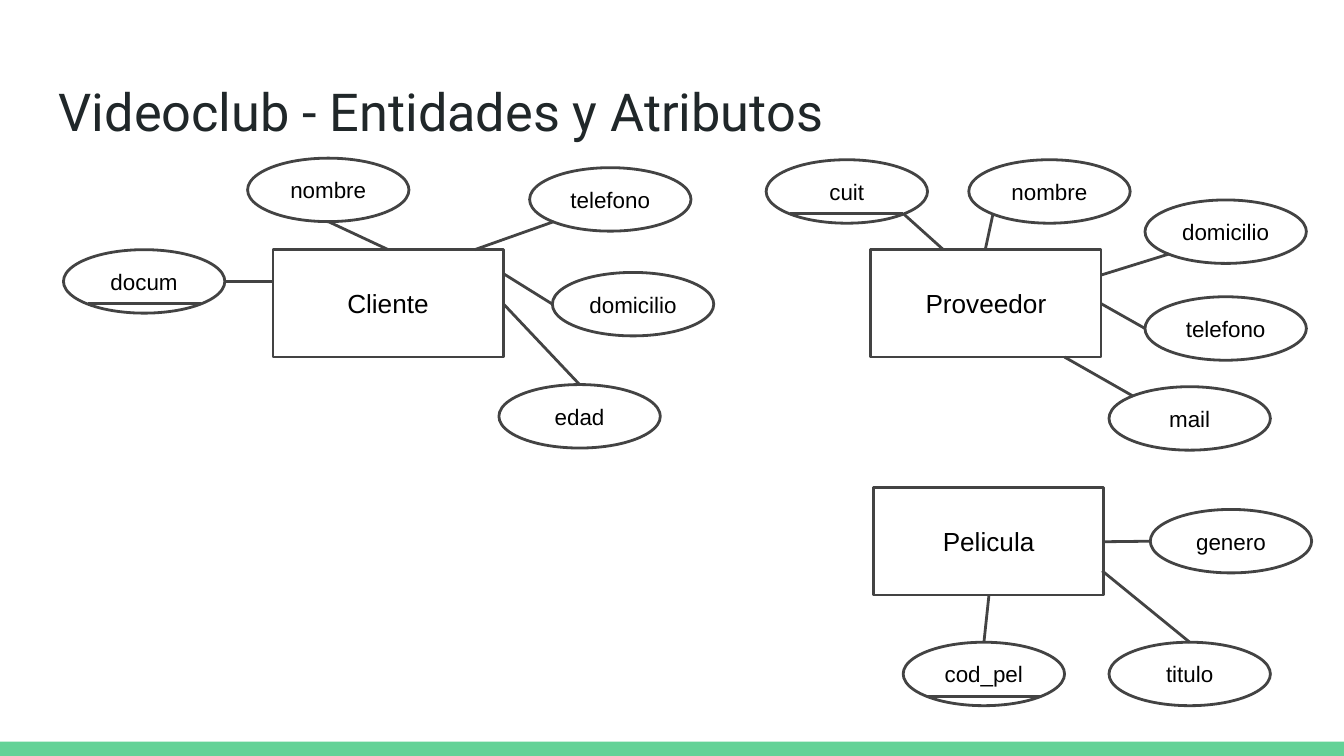
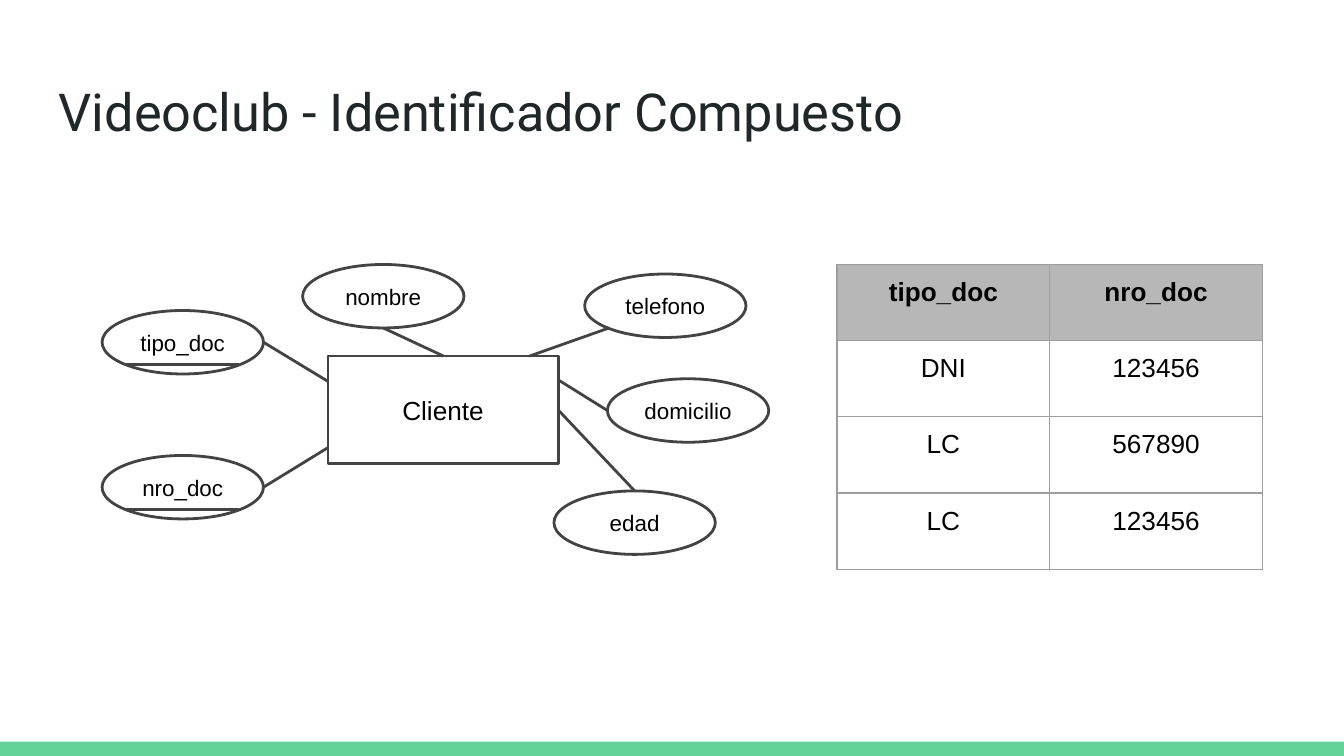
"""Builds two slides on the entities and attributes of a video club."""
import lxml.etree
import pptx
import pptx.dml.color
import pptx.enum.shapes
import pptx.enum.text
import pptx.oxml.ns
import pptx.util

Cm = pptx.util.Cm
Pt = pptx.util.Pt
SHAPES = pptx.enum.shapes.MSO_SHAPE
CENTER = pptx.enum.text.PP_ALIGN.CENTER
qn = pptx.oxml.ns.qn
color = pptx.dml.color.RGBColor.from_string

GREEN, INK, OUTLINE = "63D297", "202729", "434343"
BLACK, HEADER_GRAY, GRID_GRAY = "000000", "B7B7B7", "9E9E9E"

TITLE = {"name": "Roboto", "size": Pt(28)}
ENTITY = {"name": "Arial", "size": Pt(14)}
ATTRIBUTE = {"name": "Arial", "size": Pt(12)}
HEADER = {**ENTITY, "bold": True}
TITLE_FRAME = {"word_wrap": True, "vertical_anchor": pptx.enum.text.MSO_ANCHOR.TOP,
               "margin_left": Cm(0.25), "margin_right": Cm(0.25),
               "margin_top": Cm(0.25), "margin_bottom": Cm(0.25)}
NODE_FRAME = {"word_wrap": True, "vertical_anchor": pptx.enum.text.MSO_ANCHOR.MIDDLE,
              "margin_left": 0, "margin_right": 0, "margin_top": 0, "margin_bottom": 0}
CELL_MARGINS = {"margin_left": Cm(0.25), "margin_right": Cm(0.25),
                "margin_top": Cm(0.25), "margin_bottom": Cm(0.25)}

ENTITY_W, ENTITY_H = 4.35, 2.03
OVAL_W, OVAL_H = 3.05, 1.2
NEAR, FAR = 0.15, 0.85
SITES = {"top": (0.5, 0), "left": (0, 0.5), "bottom": (0.5, 1), "right": (1, 0.5),
         "top left": (NEAR, NEAR), "bottom left": (NEAR, FAR), "bottom right": (FAR, FAR)}

# name, offset from the entity, site on the oval, point on the entity, identifier
CLIENT_COMMON = [
    ("nombre", -0.48, -1.73, "bottom", 2.18, 0, False),
    ("telefono", 4.85, -1.55, "bottom left", 3.81, 0, False),
    ("domicilio", 5.28, 0.43, "left", 4.35, 0.45, False),
    ("edad", 4.27, 2.55, "top", 4.35, 1.02, False),
]
CLIENT_SIMPLE = CLIENT_COMMON + [("docum", -3.96, 0, "right", 0, 0.6, True)]
CLIENT_COMPOUND = CLIENT_COMMON + [
    ("tipo_doc", -4.27, -0.86, "right", 0, 0.48, True),
    ("nro_doc", -4.27, 1.88, "right", 0, 1.73, True),
]
SUPPLIER = [
    ("cuit", -1.98, -1.7, "bottom right", 1.37, 0, True),
    ("nombre", 1.85, -1.7, "bottom left", 2.16, 0, False),
    ("domicilio", 5.18, -0.94, "bottom left", 4.35, 0.48, False),
    ("telefono", 5.18, 0.89, "left", 4.35, 1.02, False),
    ("mail", 4.5, 2.59, "top left", 3.66, 2.03, False),
]
FILM = [
    ("cod_pel", 0.56, 2.92, "top", 2.18, 2.03, True),
    ("titulo", 4.45, 2.92, "top", 4.32, 1.57, False),
    ("genero", 5.23, 0.41, "left", 4.35, 1.02, False),
]
DIAGRAMS = [
    ("Videoclub - Entidades y Atributos", [
        ("Proveedor", 16.46, 4.72, SUPPLIER),
        ("Pelicula", 16.51, 9.22, FILM),
        ("Cliente", 5.16, 4.72, CLIENT_SIMPLE),
    ]),
    ("Videoclub - Identificador Compuesto", [
        ("Cliente", 6.2, 6.73, CLIENT_COMPOUND),
    ]),
]
DOCUMENTS = [("tipo_doc", "nro_doc"), ("DNI", "123456"), ("LC", "567890"), ("LC", "123456")]


def write(frame, text, font_format, ink=BLACK, align=CENTER):
    """Put one formatted line of text into a frame."""
    line = frame.paragraphs[0]
    line.alignment = align
    run = line.add_run()
    run.text = text
    run.font.color.rgb = color(ink)
    for key, value in font_format.items():
        setattr(run.font, key, value)


def add_node(slide, kind, text, font_format, left, top, width, height):
    """Draw an outlined entity or attribute with its name."""
    node = slide.shapes.add_shape(kind, Cm(left), Cm(top), Cm(width), Cm(height))
    node.shadow.inherit = False
    node.fill.background()
    node.line.color.rgb = color(OUTLINE)
    node.line.width = Pt(1.5)
    for key, value in NODE_FRAME.items():
        setattr(node.text_frame, key, value)
    write(node.text_frame, text, font_format)


deck = pptx.Presentation()
deck.slide_width, deck.slide_height = Cm(25.4), Cm(14.29)

for heading, entities in DIAGRAMS:
    slide = deck.slides.add_slide(deck.slide_layouts[6])
    band = slide.shapes.add_shape(SHAPES.RECTANGLE, 0, Cm(14.02), deck.slide_width, Cm(0.27))
    band.shadow.inherit = False
    band.fill.solid()
    band.fill.fore_color.rgb = color(GREEN)
    band.line.fill.background()

    title = slide.shapes.add_textbox(Cm(0.86), Cm(1.24), Cm(23.67), Cm(1.6))
    for key, value in TITLE_FRAME.items():
        setattr(title.text_frame, key, value)
    write(title.text_frame, heading, TITLE, INK, pptx.enum.text.PP_ALIGN.LEFT)

    strokes = []
    for entity, left, top, attributes in entities:
        add_node(slide, SHAPES.RECTANGLE, entity, ENTITY, left, top, ENTITY_W, ENTITY_H)
        for attribute, dx, dy, site, joint_x, joint_y, identifier in attributes:
            x, y = left + dx, top + dy
            add_node(slide, SHAPES.OVAL, attribute, ATTRIBUTE, x, y, OVAL_W, OVAL_H)
            across, down = SITES[site]
            strokes.append((x + across * OVAL_W, y + down * OVAL_H,
                            left + joint_x, top + joint_y))
            if identifier:
                underline_y = y + FAR * OVAL_H
                strokes.append((x + NEAR * OVAL_W, underline_y, x + FAR * OVAL_W, underline_y))

    for stroke in strokes:
        link = slide.shapes.add_connector(pptx.enum.shapes.MSO_CONNECTOR.STRAIGHT,
                                          *[Cm(length) for length in stroke])
        link.line.color.rgb = color(OUTLINE)
        link.line.width = Pt(1.5)
        lxml.etree.SubElement(link._element.spPr, qn("a:effectLst"))

documents = slide.shapes.add_table(len(DOCUMENTS), 2, Cm(15.82), Cm(5), Cm(8.04), Cm(5.76)).table
documents.horz_banding = False
for row, values in enumerate(DOCUMENTS):
    for column, value in enumerate(values):
        cell = documents.cell(row, column)
        for key, margin in CELL_MARGINS.items():
            setattr(cell, key, margin)
        properties = cell._tc.get_or_add_tcPr()
        for side in ("a:lnL", "a:lnR", "a:lnT", "a:lnB"):
            border = lxml.etree.SubElement(properties, qn(side), w=str(Pt(0.75)))
            fill = lxml.etree.SubElement(border, qn("a:solidFill"))
            lxml.etree.SubElement(fill, qn("a:srgbClr"), val=GRID_GRAY)
        if row == 0:
            cell.fill.solid()
            cell.fill.fore_color.rgb = color(HEADER_GRAY)
        else:
            cell.fill.background()
        write(cell.text_frame, value, ENTITY if row else HEADER)

deck.save("out.pptx")
